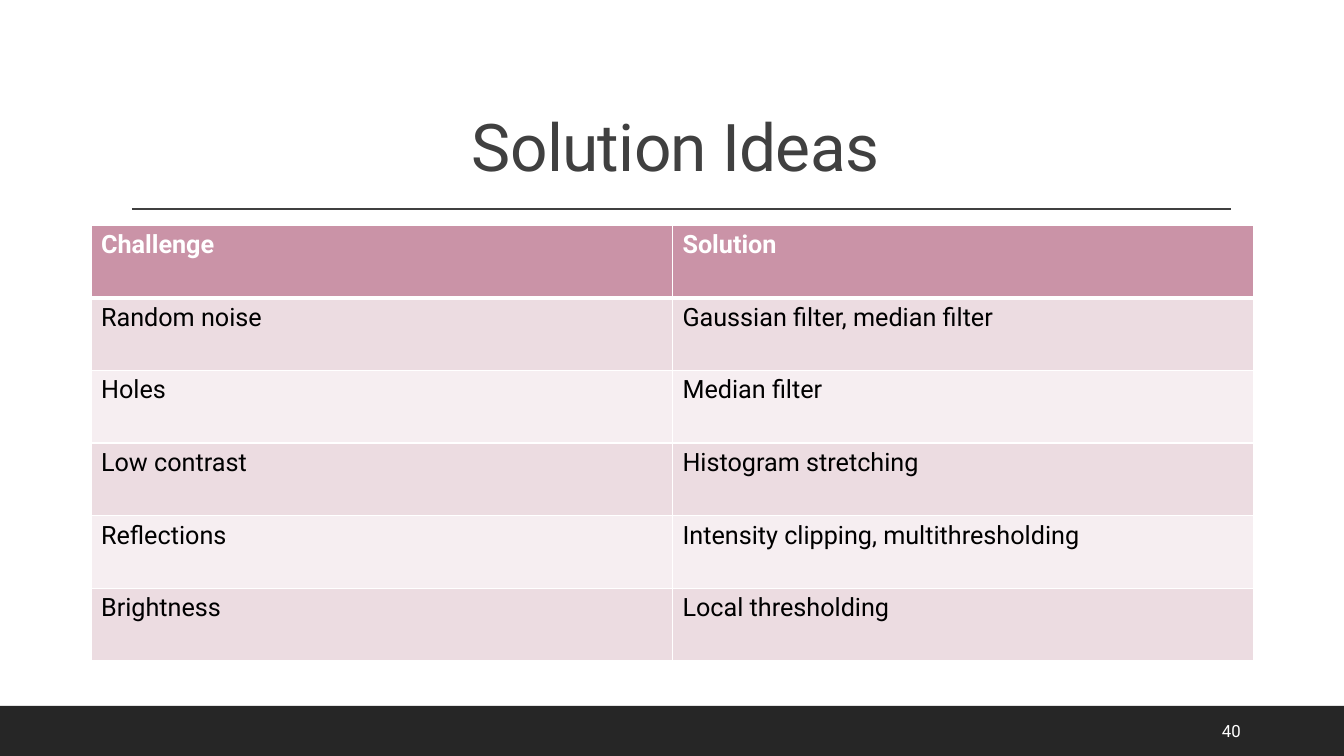
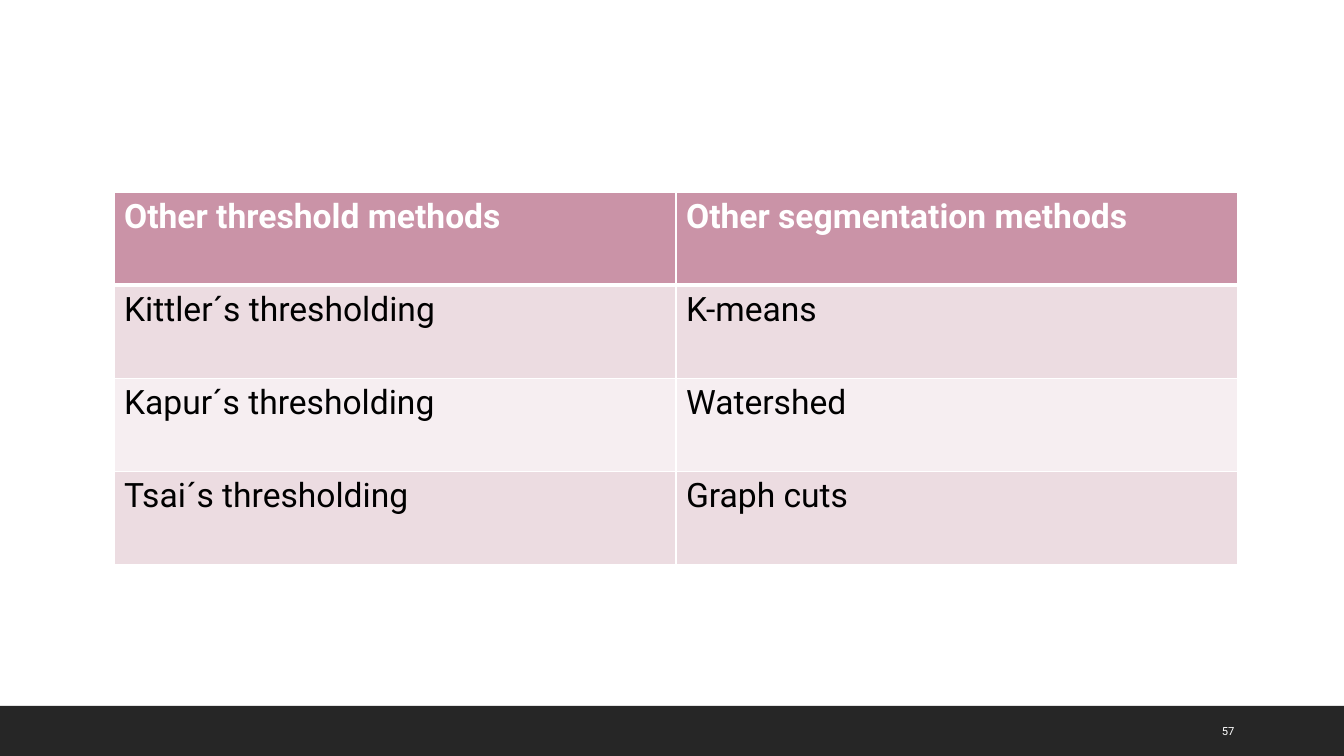
from dataclasses import dataclass

from lxml import etree
from pptx import Presentation, util as u
from pptx.dml.color import RGBColor
from pptx.enum import shapes, text
from pptx.oxml.ns import qn

SLIDES = [
    {
        "title": "Solution Ideas",
        "number": "40",
        "number_size": 12,
        "table_box": (91, 225, 1163, 436),
        "table_size": 18,
        "rows": [
            ("Challenge", "Solution"),
            ("Random noise", "Gaussian filter, median filter"),
            ("Holes", "Median filter"),
            ("Low contrast", "Histogram stretching"),
            ("Reflections", "Intensity clipping, multithresholding"),
            ("Brightness", "Local thresholding"),
        ],
    },
    {
        "title": None,
        "number": "57",
        "number_size": 8,
        "table_box": (114, 192, 1124, 373),
        "table_size": 24,
        "rows": [
            ("Other threshold methods", "Other segmentation methods"),
            ("Kittler´s thresholding", "K-means"),
            ("Kapur´s thresholding", "Watershed"),
            ("Tsai´s thresholding", "Graph cuts"),
        ],
    },
]

SLIDE_WIDTH, SLIDE_HEIGHT = 1344, 756
BAND_TOP = 706
TITLE_BOX = (121, 31, 1109, 160)
RULE_LEFT, RULE_RIGHT, RULE_TOP = 132, 1231, 209
NUMBER_BOX = (1212, 711, 86, 40)
LAYOUT_TITLE_ONLY, LAYOUT_BLANK = 5, 6


@dataclass(frozen=True)
class Theme:
    font: str = "Roboto"
    title_size: int = 47
    title_spacing: int = -50  # hundredths of a point
    ink: str = "404040"
    band: str = "262626"
    white: str = "FFFFFF"
    black: str = "000000"
    header: str = "CA93A7"
    stripes: tuple = ("ECDCE1", "F6EEF1")
    thin: int = 1
    thick: int = 3


THEME = Theme()


def px(value):
    return u.Emu(round(value * u.Inches(1) / 100.8))


def box(lengths):
    return [px(length) for length in lengths]


def fill(target, color):
    target.fill.solid()
    target.fill.fore_color.rgb = RGBColor.from_string(color)


def write(frame, content, size, color, bold=False, **paragraph_format):
    """Put one formatted paragraph in a text frame and return its run."""
    paragraph = frame.paragraphs[0]
    for name, value in paragraph_format.items():
        setattr(paragraph, name, value)
    run = paragraph.add_run()
    run.text = content
    for name, value in {"name": THEME.font, "size": u.Pt(size), "bold": bold}.items():
        setattr(run.font, name, value)
    run.font.color.rgb = RGBColor.from_string(color)
    return run


def add_band(slide):
    band = slide.shapes.add_shape(
        shapes.MSO_SHAPE.RECTANGLE,
        *box((0, BAND_TOP, SLIDE_WIDTH, SLIDE_HEIGHT - BAND_TOP)))
    band.shadow.inherit = False
    fill(band, THEME.band)
    band.line.fill.background()


def add_title(slide, title):
    """Fill the title placeholder and draw the rule below it."""
    shape = slide.shapes.title
    shape.left, shape.top, shape.width, shape.height = box(TITLE_BOX)
    frame = shape.text_frame
    frame.auto_size = text.MSO_AUTO_SIZE.NONE
    frame.vertical_anchor = text.MSO_ANCHOR.BOTTOM
    run = write(frame, title, THEME.title_size, THEME.ink,
                alignment=text.PP_ALIGN.CENTER, line_spacing=0.9)
    run.font._element.set("spc", str(THEME.title_spacing))

    rule = slide.shapes.add_connector(
        shapes.MSO_CONNECTOR.STRAIGHT,
        *box((RULE_LEFT, RULE_TOP, RULE_RIGHT, RULE_TOP)))
    rule.line.color.rgb = RGBColor.from_string(THEME.ink)
    rule.line.width = u.Pt(THEME.thin)
    etree.SubElement(rule._element.spPr, qn("a:effectLst"))


def set_borders(cell, widths):
    """Draw white borders; widths holds points for L, R, T and B."""
    properties = cell._tc.get_or_add_tcPr()
    for index, (side, width) in enumerate(widths.items()):
        line = etree.Element(qn(f"a:ln{side}"), w=str(u.Pt(width)))
        solid = etree.SubElement(line, qn("a:solidFill"))
        etree.SubElement(solid, qn("a:srgbClr"), val=THEME.white)
        properties.insert(index, line)


def add_table(slide, rows, lengths, size):
    left, top, width, height = box(lengths)
    column_count = len(rows[0])
    table = slide.shapes.add_table(
        len(rows), column_count, left, top, width, height).table
    table.horz_banding = False
    for column in table.columns:
        column.width = width // column_count
    for row in table.rows:
        row.height = height // len(rows)
    for row_index, row in enumerate(rows):
        is_header = row_index == 0
        color = THEME.header if is_header else THEME.stripes[(row_index - 1) % 2]
        widths = dict.fromkeys("LRTB", THEME.thin)
        if row_index < 2:
            widths["B" if is_header else "T"] = THEME.thick
        for column_index, content in enumerate(row):
            cell = table.cell(row_index, column_index)
            write(cell.text_frame, content, size,
                  THEME.white if is_header else THEME.black, bold=is_header)
            fill(cell, color)
            set_borders(cell, widths)


def add_number(slide, number, size):
    frame = slide.shapes.add_textbox(*box(NUMBER_BOX)).text_frame
    frame.word_wrap = True
    frame.vertical_anchor = text.MSO_ANCHOR.MIDDLE
    write(frame, number, size, THEME.white)


def build_slide(presentation, content):
    title = content["title"]
    layout = LAYOUT_TITLE_ONLY if title else LAYOUT_BLANK
    slide = presentation.slides.add_slide(presentation.slide_layouts[layout])
    add_band(slide)
    if title:
        add_title(slide, title)
    add_table(slide, content["rows"], content["table_box"], content["table_size"])
    add_number(slide, content["number"], content["number_size"])


def main():
    presentation = Presentation()
    presentation.slide_width, presentation.slide_height = box((SLIDE_WIDTH, SLIDE_HEIGHT))
    for content in SLIDES:
        build_slide(presentation, content)
    presentation.save("out.pptx")


if __name__ == "__main__":
    main()
